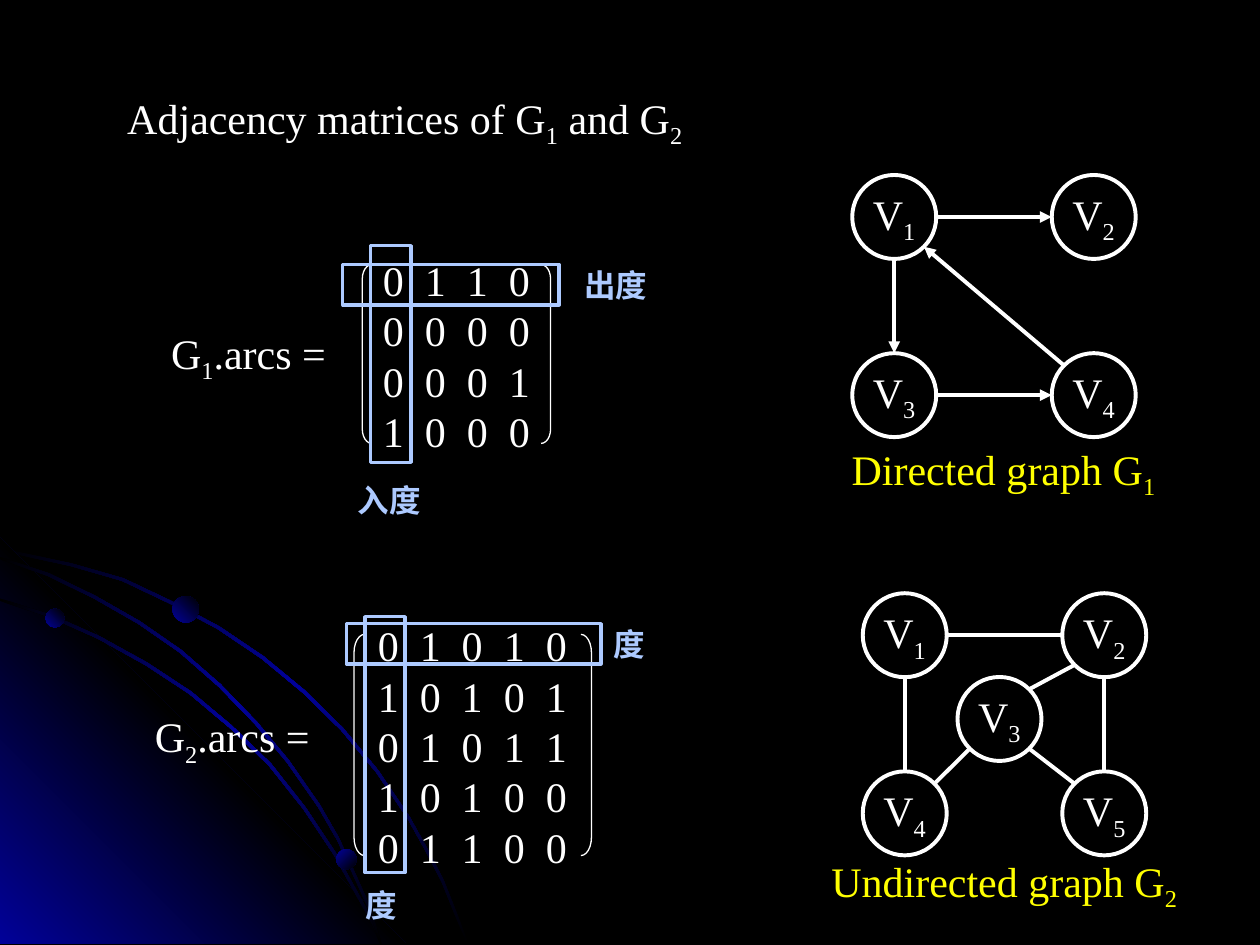
from pptx import Presentation
from pptx.dml.color import RGBColor
from pptx.enum import shapes as kinds, text as txt
from pptx.oxml import parse_xml
from pptx.oxml.ns import nsdecls, qn
from pptx.util import Pt

BLACK = RGBColor(0x00, 0x00, 0x00)
BLUE = RGBColor(0x01, 0x01, 0x99)
WHITE = RGBColor(0xFF, 0xFF, 0xFF)
YELLOW = RGBColor(0xFF, 0xFF, 0x00)
PALE = RGBColor(0xAD, 0xCA, 0xFF)
SERIF, SANS = "Times New Roman", "Arial"
KIND = kinds.MSO_SHAPE

TITLE = "Adjacency matrices of G_1 and G_2", (65.5, 49, 333.4, 36)
FLOOR = 539.3
ARCS = [
    [(0, 313.2), (20, 317.5), (41, 322), (70.6, 330.5), (98, 343.5), (125.3, 358),
     (150.5, 375), (174.2, 394.6), (196, 416), (216, 440), (234, 466.6),
     (244, 484.6), (253.4, 502.6), (260.6, 520.6), (267.8, FLOOR)],
    [(0, 342), (29.5, 351.4), (56.9, 363.6), (84.2, 378.7), (109.4, 395.3),
     (132.5, 414.7), (154.8, 436.3), (174.2, 460.8), (191.5, 486.7),
     (205.9, 512.6), (213.1, 525.6), (218.2, FLOOR)],
    [(0, 318.2), (28, 327.6), (54.7, 340.6), (79.9, 355), (103.7, 371.5),
     (126, 391), (146.9, 412.6), (164.9, 434.2), (182.9, 460),
     (193.7, 478.8), (203, 499), (211.7, 518.4), (218.2, FLOOR)],
]
CORNER = [(232, FLOOR), (0, FLOOR), (0, 307.4)]
DOTS = [((26, 347.8), 10.8, 315), ((192.2, 485.3), 11.5, 45), ((98.6, 340.6), 15.1, 315)]

NODE, STEP_X, STEP_Y = 48, 114, 101.8
GRAPHS = [
    {"at": (493, 339), "arrow": False,
     "nodes": {1: (0, 0), 2: (1, 0), 3: (0.475, 0.47), 4: (0, 1), 5: (1, 1)},
     "edges": [(1, "E", 2, "W"), (1, "S", 4, "N"), (2, "S", 5, "N"),
               (3, "SE", 5, "NW"), (2, "SW", 3, "NE"), (3, "SW", 4, "NE")],
     "label": ("Undirected graph G_2", (468, 485.3, 213, 36))},
    {"at": (487, 100), "arrow": True,
     "nodes": {1: (0, 0), 2: (1, 0), 3: (0, 1), 4: (1, 1)},
     "edges": [(1, "E", 2, "W"), (1, "S", 3, "N"), (3, "E", 4, "W"), (4, "NW", 1, "SE")],
     "label": ("Directed graph G_1", (479.5, 249.8, 188.6, 36))},
]
MATRICES = [
    {"rows": ["01010", "10101", "01011", "10100", "01100"],
     "box": (208.8, 350.6, 122.4, 151.2),
     "name": ("G_2.arcs =", (81.4, 402.5, 110.2, 36)),
     "left": (202.3, 362.5, 6, 126.4), "right": (332, 362.5, 6, 126.4), "bend": 1.75},
    {"rows": ["0110", "0000", "0001", "1000"],
     "box": (211.7, 141.8, 104.4, 122.4),
     "name": ("G_1.arcs =", (90.7, 183.6, 103.7, 36)),
     "left": (207, 151.2, 5.4, 102.2), "right": (309.2, 151.2, 5.4, 102.2), "bend": 1.51},
]
FRAMES = [((195.8, 151.2, 123.8, 23), 0), ((161.3, 190.8, 123.8, 23), 90),
          ((198, 356.4, 145.4, 23), 0), ((146.9, 414, 146.2, 23), 90)]
NOTES = [("出度", (326.9, 148.3, 74.2, 28.8)), ("入度", (197.3, 271.4, 74.2, 28.8)),
         ("度", (343.4, 353.5, 37.4, 28.8)), ("度", (201.6, 502.6, 37.4, 28.8))]

deck = Presentation()
deck.slide_width, deck.slide_height = Pt(720), Pt(540)
slide = deck.slides.add_slide(deck.slide_layouts[5])
slide.background.fill.solid()
slide.background.fill.fore_color.rgb = BLACK
parts = slide.shapes


def pts(*vals):
    return [Pt(val) for val in vals]


def style(run, color, size, face, bold, sub=False):
    font = run.font
    font.size, font.name, font.bold = Pt(size), face, bold
    font.color.rgb = color
    if sub:
        font._element.set("baseline", "-25000")


def write(para, words, color=WHITE, size=24, face=SERIF, bold=False):
    head, *rest = words.split("_")
    runs = [(head, False)]
    for part in rest:
        runs += [(part[0], True), (part[1:], False)]
    for chars, sub in runs:
        if chars:
            run = para.add_run()
            run.text = chars
            style(run, color, size, face, bold, sub)


def label(words, box, wrap=False, **look):
    frame = parts.add_textbox(*pts(*box)).text_frame
    frame.word_wrap = wrap
    frame.auto_size = txt.MSO_AUTO_SIZE.SHAPE_TO_FIT_TEXT
    write(frame.paragraphs[0], words, **look)


def outline(kind, box, color, width):
    shape = parts.add_shape(kind, *pts(*box))
    shape.shadow.inherit = False
    shape.fill.background()
    shape.line.color.rgb = color
    shape.line.width = Pt(width)
    return shape


def shade(shape, colors, angle):
    shape.shadow.inherit = False
    shape.line.fill.background()
    shape.fill.background()
    gap = 100000 // (len(colors) - 1)
    stops = "".join(f'<a:gs pos="{i * gap}"><a:srgbClr val="{color}"/></a:gs>'
                    for i, color in enumerate(colors))
    props = shape._element.spPr
    props.replace(props.find(qn("a:noFill")), parse_xml(
        f'<a:gradFill {nsdecls("a")} rotWithShape="1"><a:gsLst>{stops}</a:gsLst>'
        f'<a:lin ang="{angle * 60000}" scaled="1"/></a:gradFill>'))


def polygon(dots):
    first, *rest = [tuple(pts(*dot)) for dot in dots]
    path = parts.build_freeform(*first)
    path.add_line_segments(rest, close=True)
    return path.convert_to_shape()


def ribbon(arc):
    under = [(max(x - 1, 0), min(y + 1.4, FLOOR)) for x, y in reversed(arc)]
    shade(polygon(arc + under), [BLACK, BLUE, BLACK], 45)


def site(center, side):
    dx = ("E" in side) - ("W" in side)
    dy = ("S" in side) - ("N" in side)
    reach = NODE / 2 / (dx * dx + dy * dy) ** 0.5
    return pts(center[0] + dx * reach, center[1] + dy * reach)


def edge(start, end, arrow):
    line = parts.add_connector(kinds.MSO_CONNECTOR.STRAIGHT, *start, *end)
    line.line.color.rgb = WHITE
    line.line.width = Pt(2.25)
    if arrow:
        line.line._get_or_add_ln().append(
            parse_xml(f'<a:tailEnd {nsdecls("a")} type="triangle"/>'))
    line._element.spPr.append(parse_xml(f'<a:effectLst {nsdecls("a")}/>'))


def graph(data):
    left, top = data["at"]
    mids = {}
    for num, (col, row) in data["nodes"].items():
        x, y = left + col * STEP_X, top + row * STEP_Y
        mids[num] = x + NODE / 2, y + NODE / 2
        frame = outline(KIND.OVAL, (x, y, NODE, NODE), WHITE, 2.25).text_frame
        frame.word_wrap = False
        frame.vertical_anchor = txt.MSO_ANCHOR.MIDDLE
        frame.paragraphs[0].alignment = txt.PP_ALIGN.CENTER
        write(frame.paragraphs[0], f"V_{num}")
    for a, out, b, into in data["edges"]:
        edge(site(mids[a], out), site(mids[b], into), data["arrow"])
    label(*data["label"], color=YELLOW)


def matrix(data):
    frame = parts.add_textbox(*pts(*data["box"])).text_frame
    frame.word_wrap = False
    frame.text = "\n".join("\t".join(row) for row in data["rows"])
    for para in frame.paragraphs:
        tabs = "".join(f'<a:tab pos="{Pt(24 * i)}" algn="l"/>'
                       for i in range(1, len(data["rows"])))
        para._p.get_or_add_pPr().append(
            parse_xml(f'<a:tabLst {nsdecls("a")}>{tabs}</a:tabLst>'))
        style(para.runs[0], WHITE, 24, SERIF, False)
    for kind, side in ((KIND.LEFT_BRACKET, "left"), (KIND.RIGHT_BRACKET, "right")):
        outline(kind, data[side], WHITE, 0.75).adjustments[0] = data["bend"]
    label(*data["name"])


ribbon(ARCS[0])
shade(polygon(CORNER), [BLUE, BLACK, BLUE], 315)
for arc in ARCS[1:]:
    ribbon(arc)
for spot, size, angle in DOTS:
    shade(parts.add_shape(KIND.OVAL, *pts(*spot, size, size)), [BLUE, BLACK], angle)
for data in GRAPHS:
    graph(data)
for data in MATRICES:
    matrix(data)

title = parts.title
words, box = TITLE
title.left, title.top, title.width, title.height = pts(*box)
frame = title.text_frame
frame.word_wrap = False
frame.auto_size = txt.MSO_AUTO_SIZE.NONE
frame.vertical_anchor = txt.MSO_ANCHOR.TOP
frame.paragraphs[0].alignment = txt.PP_ALIGN.LEFT
write(frame.paragraphs[0], words)

for box, turn in FRAMES:
    outline(KIND.RECTANGLE, box, PALE, 2).rotation = turn
for words, box in NOTES:
    label(words, box, wrap=True, color=PALE, size=18, face=SANS, bold=True)

deck.save("out.pptx")
